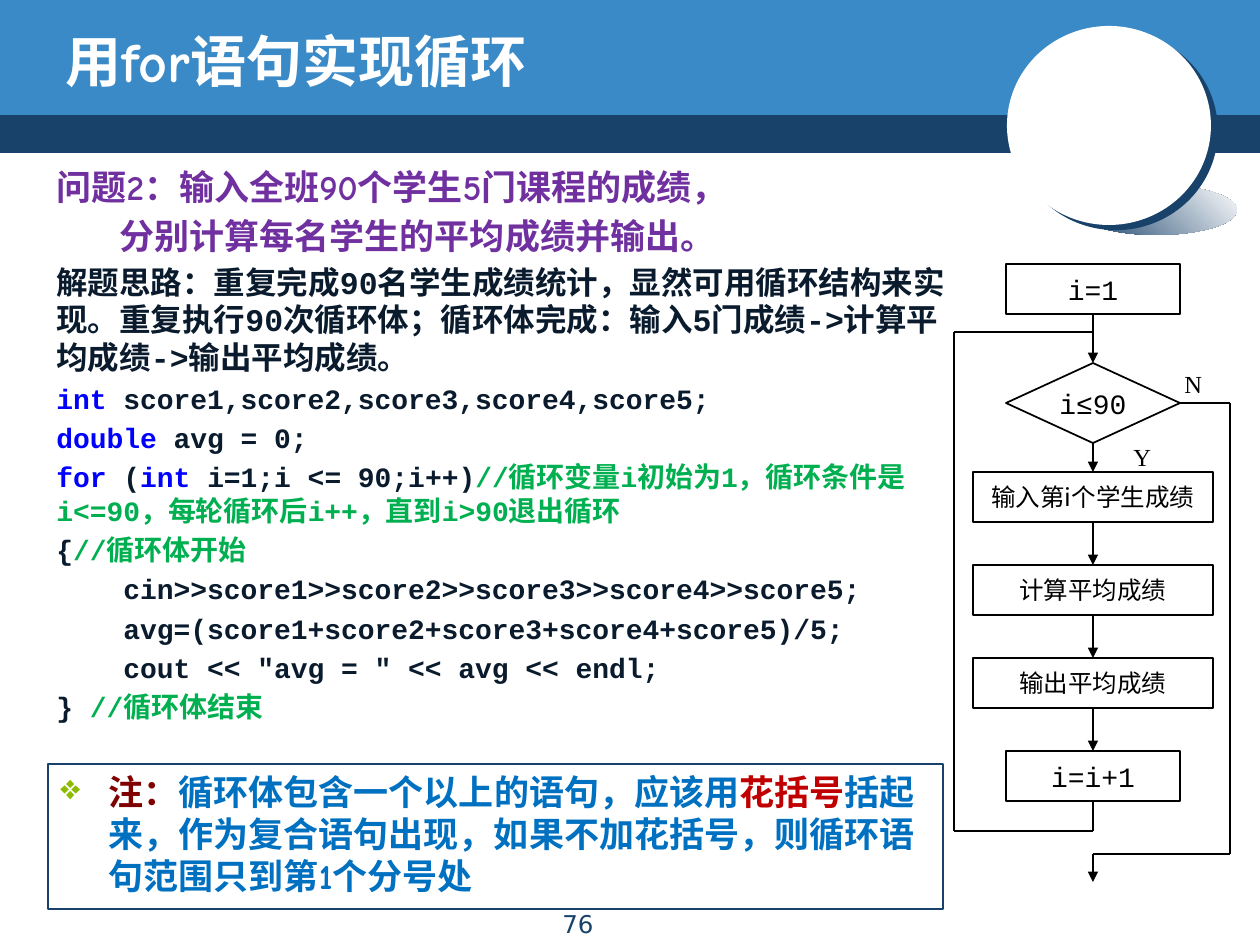
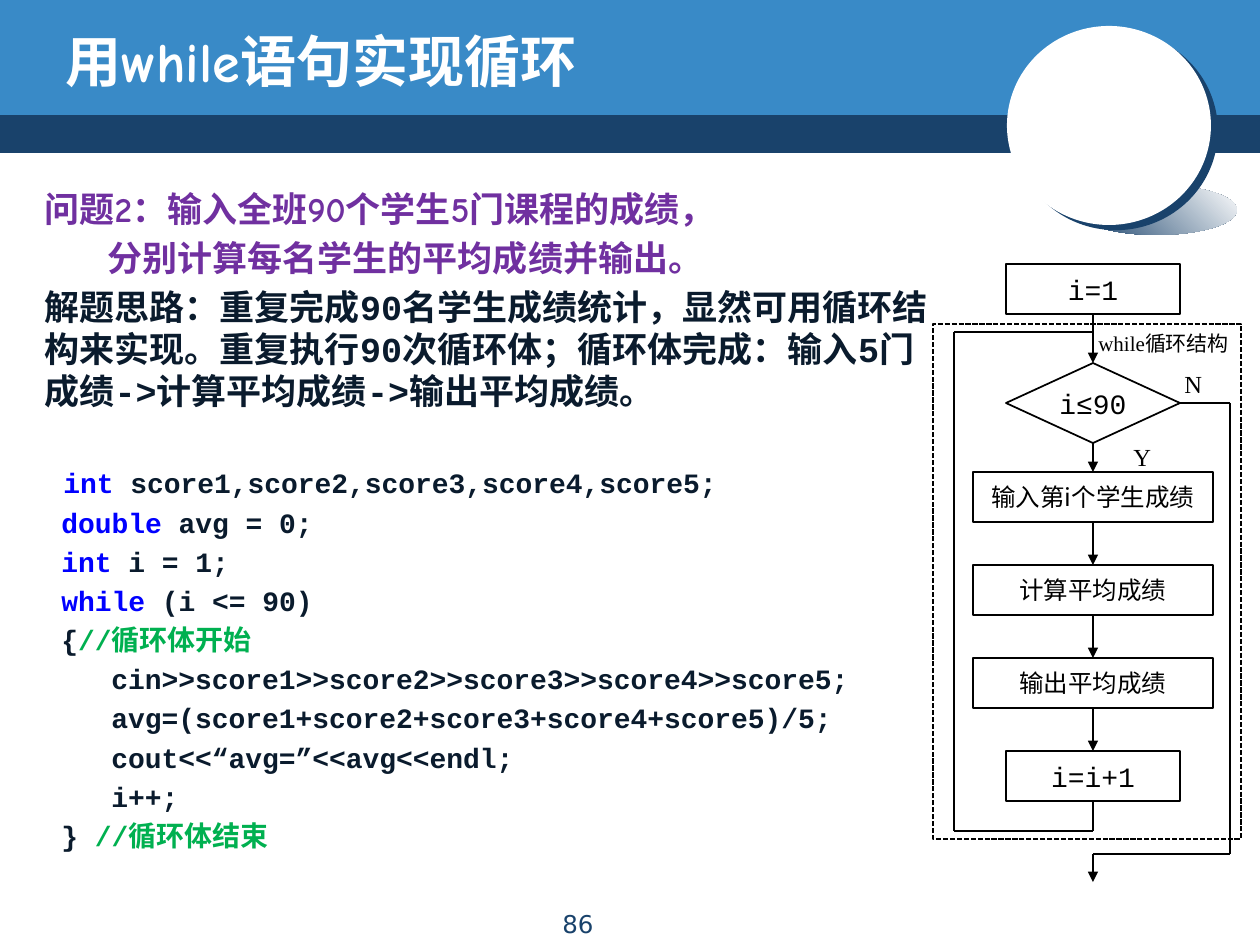
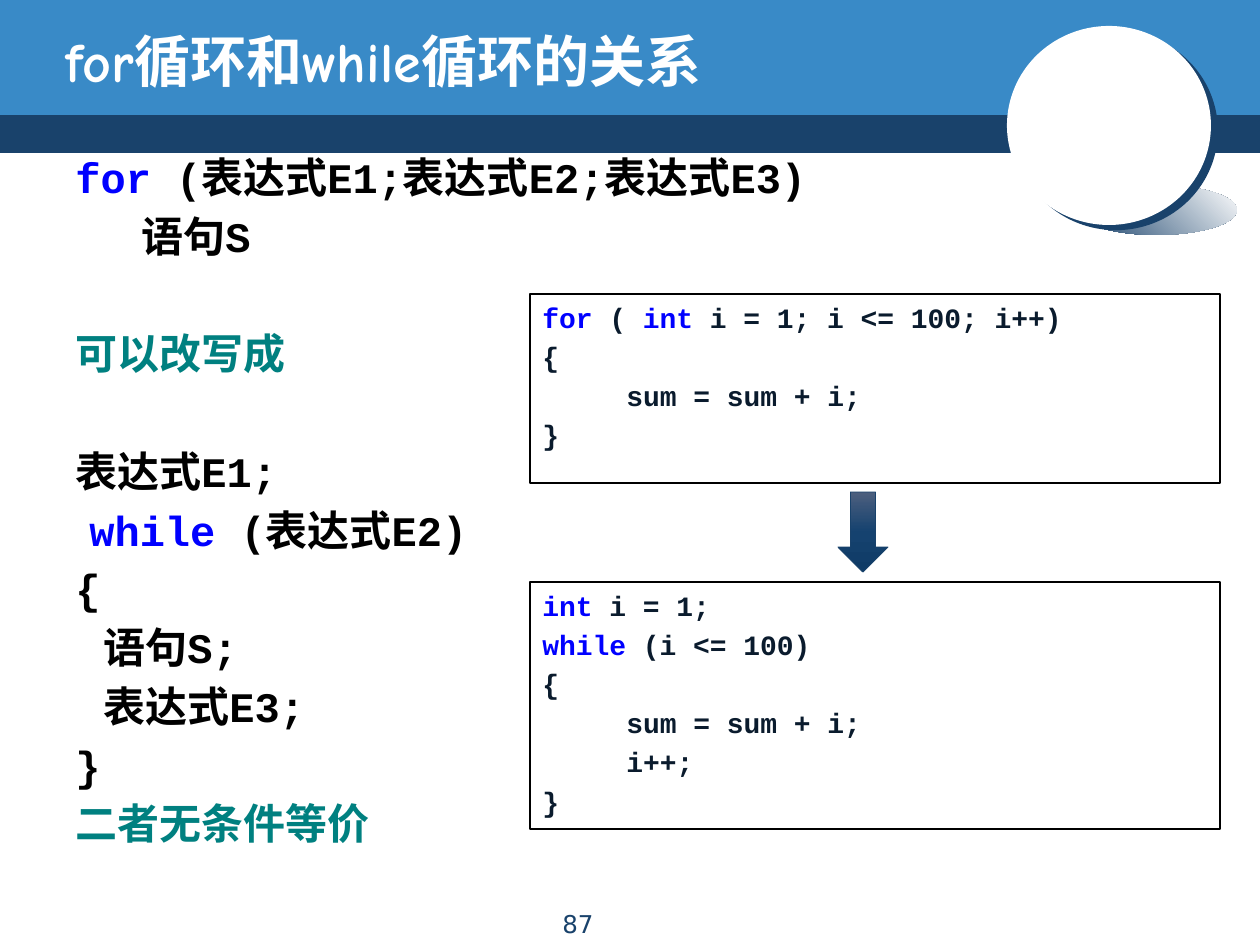
from copy import deepcopy
from dataclasses import dataclass
from itertools import pairwise

from pptx import Presentation
from pptx.dml.color import RGBColor as Rgb
from pptx.enum.dml import MSO_LINE as Dash
from pptx.enum.shapes import MSO_CONNECTOR as Link, MSO_SHAPE as Kind
from pptx.enum.text import MSO_ANCHOR as Anchor, MSO_AUTO_SIZE as Fit, PP_ALIGN as Align
from pptx.oxml.ns import qn
from pptx.oxml.xmlchemy import OxmlElement as Node
from pptx.util import Emu, Pt

SCALE = 914400 / 126


@dataclass(frozen=True)
class Theme:
    band: str = "398AC7"
    navy: str = "19426B"
    white: str = "FFFFFF"
    black: str = "000000"
    ink: str = "0A1B2D"
    key: str = "0000FF"
    note: str = "00B050"
    task: str = "7030A0"
    teal: str = "008080"
    blue: str = "0070C0"
    red: str = "C00000"
    wine: str = "800000"
    lime: str = "8BBC00"
    head: int = 32
    big: int = 24
    lead: int = 20
    mid: int = 18
    code: int = 16
    small: int = 14
    tiny: int = 12
    comic: str = "Comic Neue"
    mono: str = "Courier New"
    sans: str = "DejaVu Sans"
    serif: str = "Times New Roman"
    han: str = "Noto Sans CJK JP"


T = Theme()


def px(num):
    return Emu(round(num * SCALE))


def put(obj, **vals):
    for name, val in vals.items():
        setattr(obj, name, val)


def style(run, size, font, color, bold=False):
    put(run.font, size=Pt(size), name=font, bold=bold)
    run.font.color.rgb = Rgb.from_string(color)
    east = Node("a:ea")
    east.set("typeface", T.han)
    run.font._element.find(qn("a:latin")).addnext(east)


def para(*runs, size=T.code, font=T.mono, pad=0, gap=0):
    """Describe a bold paragraph; pad is its indent in px, gap extra points above."""
    return {"runs": runs, "size": size, "font": font, "pad": pad, "gap": gap}


def line(text, color=T.ink, **look):
    return para((text, color), **look)


def write(frame, paras):
    put(frame, word_wrap=True, auto_size=Fit.NONE, vertical_anchor=Anchor.TOP)
    for num, item in enumerate(paras):
        par = frame.add_paragraph() if num else frame.paragraphs[0]
        size = item["size"]
        put(par, alignment=Align.LEFT, line_spacing=Pt(1.2 * size),
            space_before=Pt(0.2 * size + item["gap"]))
        if item["pad"]:
            par._p.get_or_add_pPr().set("marL", str(px(item["pad"])))
        for text, color in item["runs"]:
            run = par.add_run()
            run.text = text
            style(run, size, item["font"], color, True)


def text(slide, area, paras):
    box = slide.shapes.add_textbox(*map(px, area))
    write(box.text_frame, paras)


def label(slide, area, words, size, font, align=Align.LEFT, color=T.black):
    frame = slide.shapes.add_textbox(*map(px, area)).text_frame
    frame.word_wrap = False
    par = frame.paragraphs[0]
    par.alignment = align
    run = par.add_run()
    run.text = words
    style(run, size, font, color)


def shape(slide, kind, area, fill=None, edge=None, width=1):
    item = slide.shapes.add_shape(kind, *map(px, area))
    item.shadow.inherit = False
    if fill:
        item.fill.solid()
        item.fill.fore_color.rgb = Rgb.from_string(fill)
    else:
        item.fill.background()
    if edge:
        item.line.color.rgb = Rgb.from_string(edge)
        item.line.width = Pt(width)
    else:
        item.line.fill.background()
    return item


def blend(item, stops, angle):
    fill = item.fill
    fill.gradient()
    fill.gradient_angle = angle
    marks = item.element.spPr.find(".//" + qn("a:gsLst"))
    while len(marks) < len(stops):
        marks.append(deepcopy(marks[0]))
    for mark, (spot, color) in zip(fill.gradient_stops, stops):
        mark.position = spot
        mark.color.rgb = Rgb.from_string(color)


def shade(item, color, dist, angle):
    cast = Node("a:outerShdw")
    for name, val in {"dist": Pt(dist), "dir": angle * 60000, "algn": "ctr", "rotWithShape": 0}.items():
        cast.set(name, str(int(val)) if name != "algn" else val)
    tint = Node("a:srgbClr")
    tint.set("val", color)
    cast.append(tint)
    item.element.spPr.find(qn("a:effectLst")).append(cast)


def route(slide, *spots, head=True):
    """Join the spots by straight lines, with an arrowhead at the last one."""
    for start, end in pairwise(spots):
        link = slide.shapes.add_connector(Link.STRAIGHT, *map(px, start + end))
        link.line.color.rgb = Rgb.from_string(T.black)
        link.line.width = Pt(1)
        link.element.spPr.append(Node("a:effectLst"))
        if head and end == spots[-1]:
            tail = Node("a:tailEnd")
            tail.set("type", "triangle")
            link.line._get_or_add_ln().append(tail)


def dress(layout, slide):
    """Draw the shared bands and badge, and hand them to the layout."""
    for hold in list(layout.placeholders):
        if hold.placeholder_format.idx:
            hold.element.getparent().remove(hold.element)
    low = shape(slide, Kind.RECTANGLE, (0, 110, 1260, 43), T.navy)
    top = shape(slide, Kind.RECTANGLE, (0, 0, 1260, 115), T.band)
    glow = shape(slide, Kind.OVAL, (1076, 185, 161, 50))
    blend(glow, [(0, T.navy), (1, T.white)], 45)
    disc = shape(slide, Kind.OVAL, (1007, 26, 204, 199), T.white)
    shade(disc, T.navy, 5, 37)
    for item in (low, top, glow, disc):
        layout.shapes.element.append(item.element)


def open_slide(slide, title, page):
    head = slide.shapes.title
    put(head, left=px(53), top=px(21), width=px(1018), height=px(78))
    put(head.text_frame, auto_size=Fit.NONE, vertical_anchor=Anchor.MIDDLE)
    par = head.text_frame.paragraphs[0]
    par.alignment = Align.LEFT
    run = par.add_run()
    run.text = title
    style(run, T.head, T.comic, T.white, True)
    label(slide, (431, 903, 294, 33), page, T.small, T.sans, Align.CENTER, T.navy)


def step(slide, kind, words, area, size, font):
    box = shape(slide, kind, area, edge=T.black)
    frame = box.text_frame
    put(frame, margin_left=px(5), margin_right=px(5), vertical_anchor=Anchor.MIDDLE)
    par = frame.paragraphs[0]
    par.alignment = Align.CENTER
    run = par.add_run()
    run.text = words
    style(run, size, font, T.black)


def flow(slide):
    mid, high, first, pitch = 1093, 50, 472, 93
    rect = Kind.RECTANGLE
    code, han = (174, T.code, T.mono), (240, T.small, T.han)
    steps = [
        (rect, "i=1", 264, high, code),
        (Kind.FLOWCHART_DECISION, "i≤90", 363, 80, code),
        (rect, "输入第i个学生成绩", first, high, han),
        (rect, "计算平均成绩", first + pitch, high, han),
        (rect, "输出平均成绩", first + 2 * pitch, high, han),
        (rect, "i=i+1", first + 3 * pitch, high, code),
    ]
    for kind, words, top, tall, (wide, size, font) in steps:
        step(slide, kind, words, (mid - wide // 2, top, wide, tall), size, font)
    for (_, _, top, tall, _), (_, _, below, _, _) in pairwise(steps):
        route(slide, (mid, top + tall), (mid, below))
    route(slide, (mid, 801), (mid, 831), (954, 831), (954, 332), (mid, 332), head=False)
    route(slide, (mid + 87, 403), (1230, 403), (1230, 854), (mid, 854), (mid, 882))
    label(slide, (1121, 436, 43, 43), "Y", T.small, T.serif)
    label(slide, (1172, 363, 43, 43), "N", T.small, T.serif)


def intro(size):
    task = {"size": T.lead, "font": T.comic}
    return [
        line("问题2：输入全班90个学生5门课程的成绩，", T.task, **task),
        line("分别计算每名学生的平均成绩并输出。", T.task, pad=63, **task),
        line("解题思路：重复完成90名学生成绩统计，显然可用循环结构来实现。"
             "重复执行90次循环体；循环体完成：输入5门成绩->计算平均成绩->输出平均成绩。", size=size),
    ]


def block(rows, pad, inner):
    """Code rows between commented braces."""
    return [
        para(("{", T.ink), ("//循环体开始", T.note), pad=pad),
        *(line(row, pad=inner) for row in rows),
        para(("}", T.ink), (" //循环体结束", T.note), pad=pad),
    ]


def remark(slide):
    box = shape(slide, Kind.RECTANGLE, (48, 764, 895, 145), edge=T.navy, width=0.75)
    write(box.text_frame, [para(
        ("注：", T.wine), ("循环体包含一个以上的语句，应该用", T.blue), ("花括号", T.red),
        ("括起来，作为复合语句出现，如果不加花括号，则循环语句范围只到第1个分号处", T.blue),
        size=T.lead, font=T.comic, pad=48)])
    props = box.text_frame.paragraphs[0]._p.get_or_add_pPr()
    props.set("indent", str(-px(48)))
    tint, color, mark = Node("a:buClr"), Node("a:srgbClr"), Node("a:buChar")
    color.set("val", T.lime)
    tint.append(color)
    mark.set("char", "❖")
    props.extend([tint, mark])


def for_slide(slide):
    open_slide(slide, "用for语句实现循环", "76")
    rows = ["cin>>score1>>score2>>score3>>score4>>score5;",
            "avg=(score1+score2+score3+score4+score5)/5;",
            'cout << "avg = " << avg << endl;']
    text(slide, (44, 159, 923, 600), [
        *intro(T.mid),
        para(("int", T.key), (" score1,score2,score3,score4,score5;", T.ink)),
        para(("double ", T.key), ("avg = 0;", T.ink)),
        para(("for", T.key), (" (", T.ink), ("int ", T.key), ("i=1;i <= 90;i++)", T.ink),
             ("//循环变量i初始为1，循环条件是i<=90，每轮循环后i++，直到i>90退出循环", T.note)),
        *block(rows, 0, 67),
    ])
    flow(slide)
    remark(slide)


def while_slide(slide):
    open_slide(slide, "用while语句实现循环", "86")
    rows = ["cin>>score1>>score2>>score3>>score4>>score5;",
            "avg=(score1+score2+score3+score4+score5)/5;",
            "cout<<“avg=”<<avg<<endl;", "i++;"]
    text(slide, (32, 181, 926, 669), [
        *intro(T.lead),
        para(("int", T.key), (" score1,score2,score3,score4,score5;", T.ink), pad=19, gap=28),
        para(("double ", T.key), ("avg = 0;", T.ink), pad=17),
        para(("int ", T.key), ("i = 1;", T.ink), pad=17),
        para(("while", T.key), (" (i <= 90)", T.ink), pad=17),
        *block(rows, 17, 67),
    ])
    flow(slide)
    frame = shape(slide, Kind.RECTANGLE, (933, 324, 308, 515), edge=T.black)
    frame.line.dash_style = Dash.SQUARE_DOT
    label(slide, (1086, 324, 174, 38), "while循环结构", T.tiny, T.serif)


def link_slide(slide):
    open_slide(slide, "for循环和while循环的关系", "87")
    big = {"size": T.big}
    teal = {"color": T.teal, "font": T.comic, **big}
    black = {"color": T.black, **big}
    text(slide, (63, 145, 885, 723), [
        para(("for ", T.key), ("(表达式E1;表达式E2;表达式E3)", T.black), **big),
        line("语句S", pad=66, **black),
        line("可以改写成", gap=33.6, **teal),
        line("表达式E1;", gap=33.6, **black),
        para(("while", T.key), (" (表达式E2)", T.black), pad=14, **big),
        line("{", **black),
        line("语句S;", pad=28, **black),
        line("表达式E3;", pad=28, **black),
        line("}", **black),
        line("二者无条件等价", **teal),
    ])
    total = line("sum = sum + i;", pad=84)
    samples = [
        (294, 189, [
            para(("for", T.key), (" ( ", T.ink), ("int ", T.key), ("i = 1; i <= 100; i++)", T.ink)),
            line("{"), total, line("}")]),
        (582, 247, [
            para(("int ", T.key), ("i = 1;", T.ink)),
            para(("while", T.key), (" (i <= 100)", T.ink)),
            line("{"), total, line("i++;", pad=84), line("}")]),
    ]
    for top, tall, rows in samples:
        box = shape(slide, Kind.RECTANGLE, (530, top, 690, tall), edge=T.black, width=0.75)
        write(box.text_frame, rows)
    arrow = shape(slide, Kind.DOWN_ARROW, (838, 492, 50, 80), edge=T.navy, width=0.5)
    blend(arrow, [(0, "4D5F7E"), (0.5, "15426F"), (1, "0F3B66")], 270)


def main():
    deck = Presentation()
    put(deck, slide_width=px(1260), slide_height=px(945))
    layout = deck.slide_layouts[5]
    slides = [deck.slides.add_slide(layout) for _ in range(3)]
    dress(layout, slides[0])
    for build, slide in zip((for_slide, while_slide, link_slide), slides):
        build(slide)
    deck.save("out.pptx")


if __name__ == "__main__":
    main()
